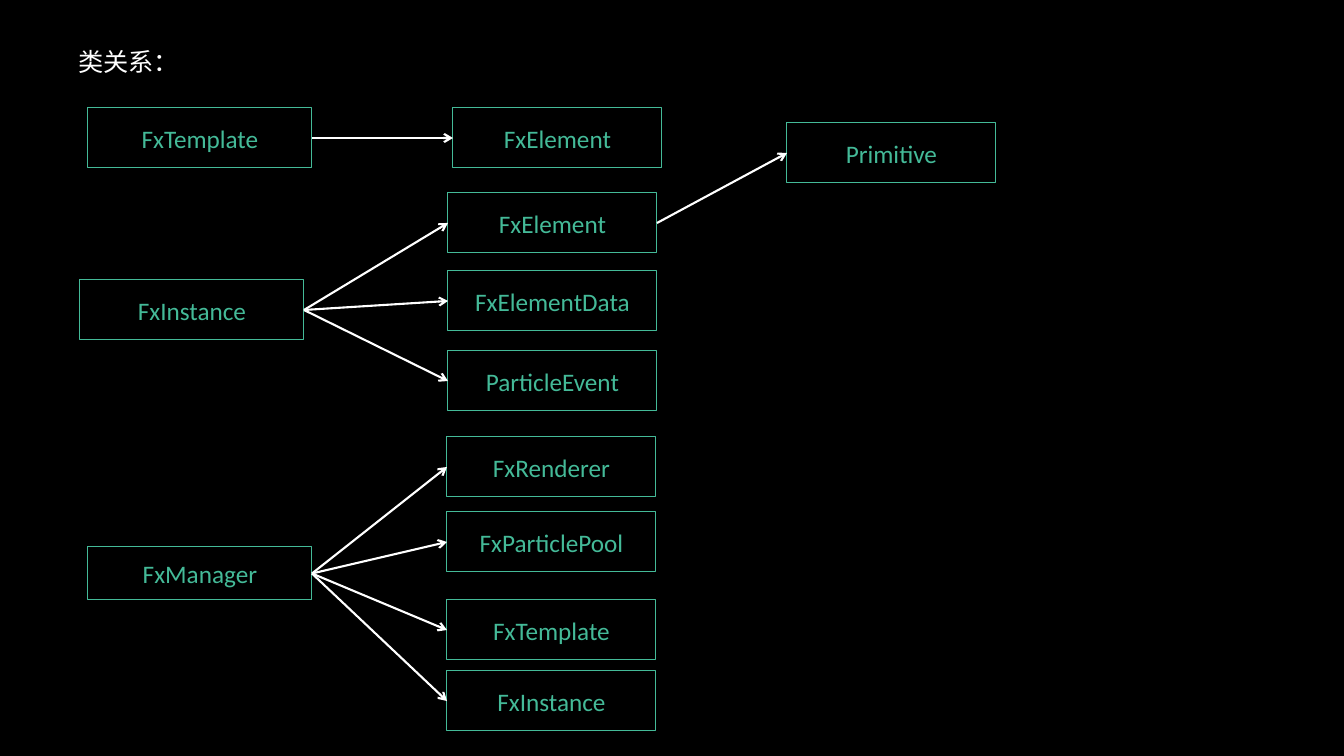
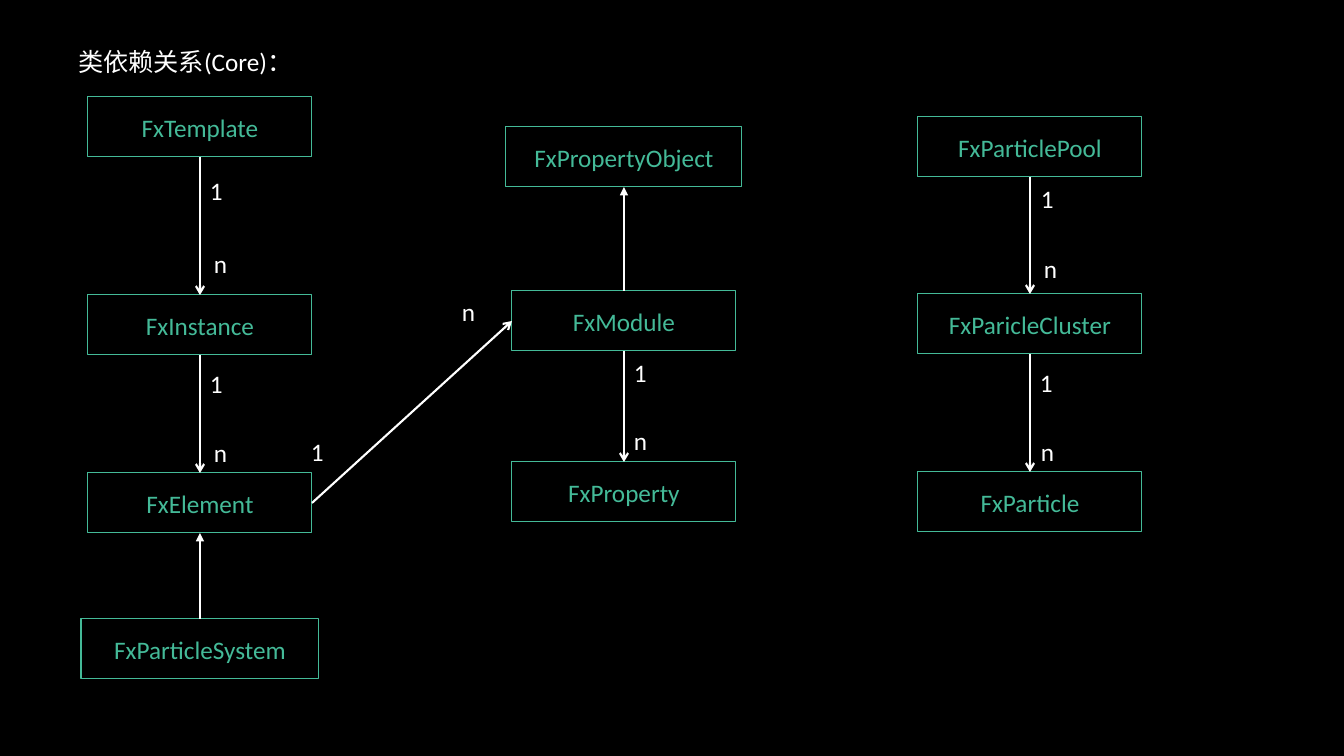
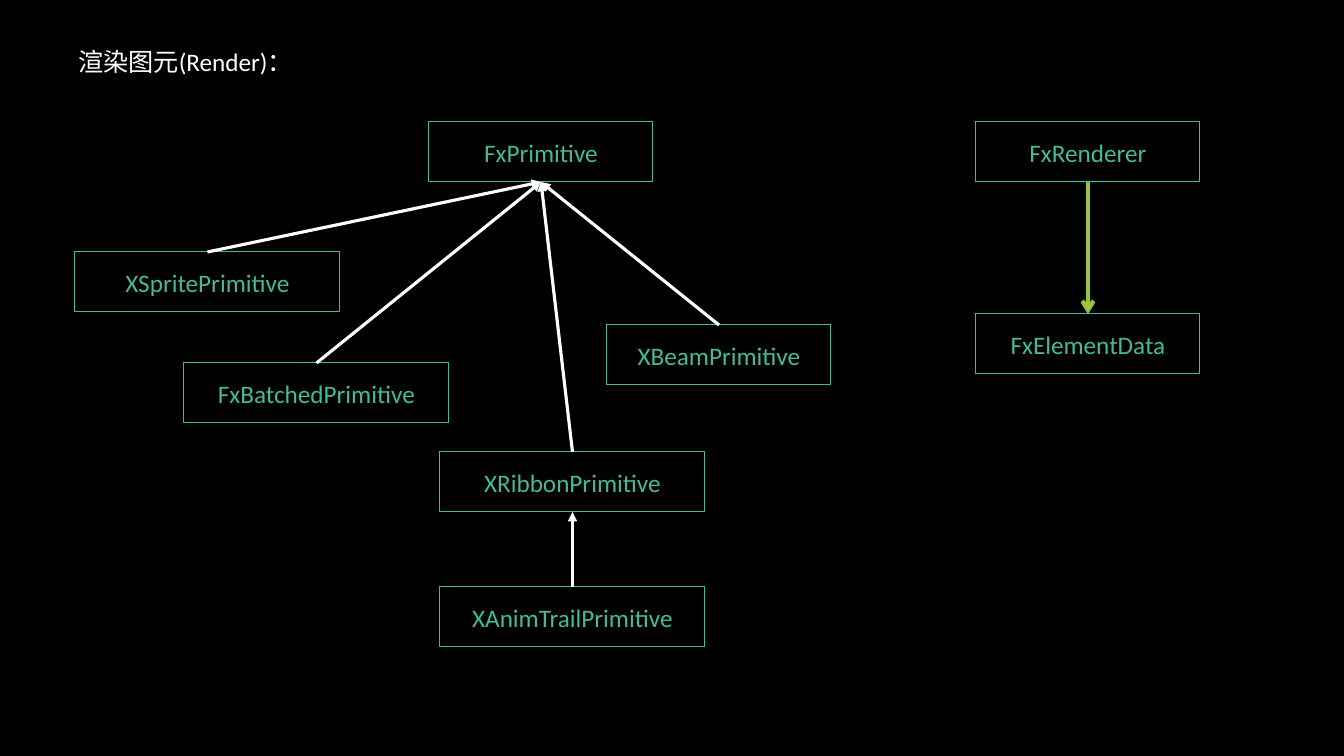
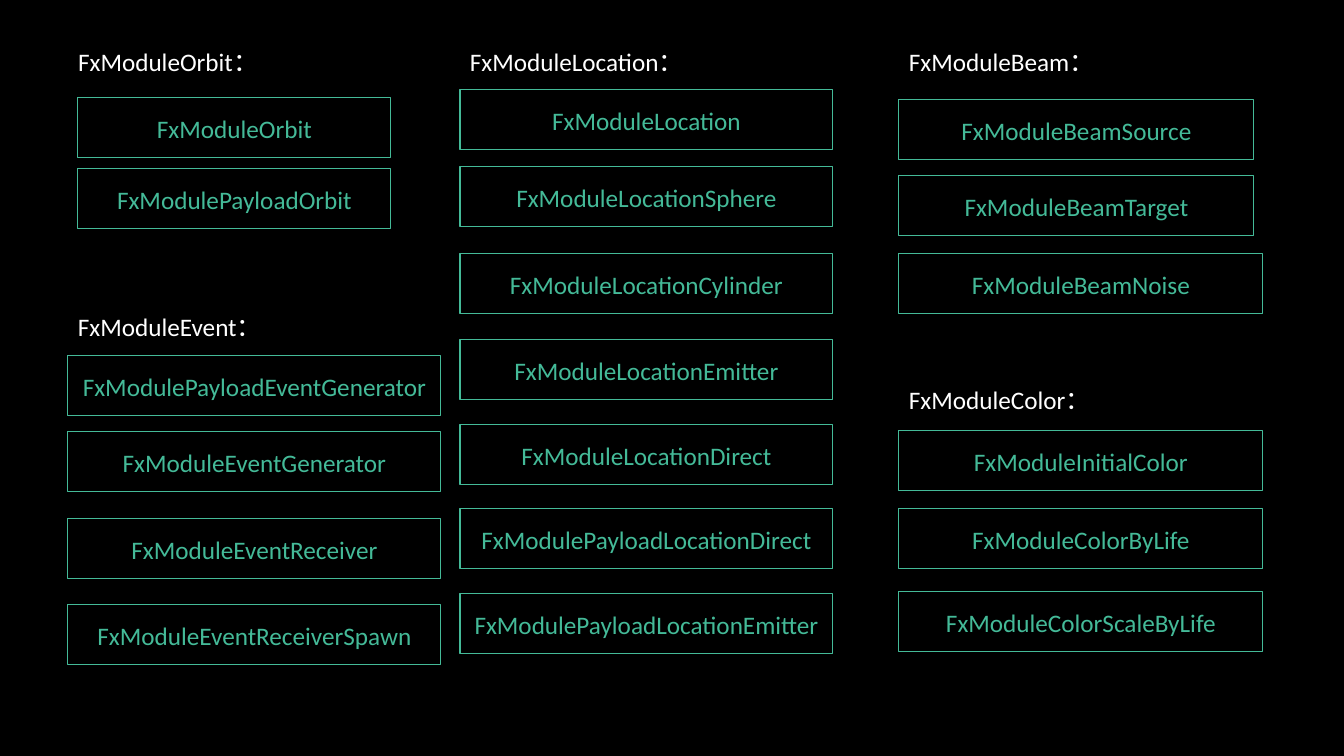
from lxml.etree import SubElement
from pptx import Presentation
from pptx.dml.color import RGBColor
from pptx.enum.shapes import MSO_CONNECTOR as Connector, MSO_SHAPE as Shape
from pptx.enum.text import MSO_ANCHOR as Anchor, MSO_AUTO_SIZE as AutoSize, PP_ALIGN as Align
from pptx.oxml.ns import qn
from pptx.util import Emu, Pt

COLORS = {"background": "000000", "text": "FFFFFF", "class": "44BA98", "use": "9AC43E"}
FONT = "Calibri"
FONT_SIZE = 18
SLIDE_W, SLIDE_H = 1344, 756
EMU_PER_PX = 12192000 / SLIDE_W
BOX_H, HEADING_W, LABEL_H = 60, 272, 40
TITLE_X, TITLE_Y = 68, 41
TITLE_ONLY = 5
TOP, LEFT, BOTTOM, RIGHT = range(4)  # connection sites of a rectangle


def px(*lengths):
    return [Emu(round(length * EMU_PER_PX)) for length in lengths]


def rgb(name):
    return RGBColor.from_string(COLORS[name])


class ClassDiagram:
    """Holds the deck, its style and the slide being drawn."""

    def __init__(self):
        self.deck = Presentation()
        self.deck.slide_width, self.deck.slide_height = px(SLIDE_W, SLIDE_H)
        background = self.deck.slide_master.background.fill
        background.solid()
        background.fore_color.rgb = rgb("background")
        self.slide = None

    def set_text(self, shape, text, color, align, anchor):
        frame = shape.text_frame
        frame.word_wrap = True
        frame.auto_size = AutoSize.NONE
        frame.vertical_anchor = anchor
        paragraph = frame.paragraphs[0]
        paragraph.alignment = align
        run = paragraph.add_run()
        run.text = text
        run.font.name = FONT
        run.font.size = Pt(FONT_SIZE)
        run.font.color.rgb = rgb(color)

    def new_slide(self, title):
        self.slide = self.deck.slides.add_slide(self.deck.slide_layouts[TITLE_ONLY])
        heading = self.slide.shapes.title
        heading.left, heading.top, heading.width, heading.height = px(
            TITLE_X, TITLE_Y, HEADING_W, LABEL_H)
        self.set_text(heading, title, "text", Align.LEFT, Anchor.TOP)

    def label(self, text, x, y, width=51):
        label = self.slide.shapes.add_textbox(*px(x, y, width, LABEL_H))
        self.set_text(label, text, "text", Align.LEFT, Anchor.TOP)

    def box(self, name, x, y, width=224, height=BOX_H):
        box = self.slide.shapes.add_shape(Shape.RECTANGLE, *px(x, y, width, height))
        box.shadow.inherit = False
        box.fill.background()
        box.line.color.rgb = rgb("class")
        box.line.width = Pt(0.75)
        self.set_text(box, name, "class", Align.CENTER, Anchor.MIDDLE)
        return box

    def column(self, x, width, rows):
        """Draws boxes under each other from (name, top) pairs."""
        return [self.box(name, x, top, width) for name, top in rows]

    def arrow(self, source, source_site, target, target_site,
              head="arrow", weight=1.5, color="text"):
        arrow = self.slide.shapes.add_connector(Connector.STRAIGHT, 0, 0, 0, 0)
        arrow.begin_connect(source, source_site)
        arrow.end_connect(target, target_site)
        arrow.line.color.rgb = rgb(color)
        arrow.line.width = Pt(weight)
        properties = arrow._element.spPr
        SubElement(properties.find(qn("a:ln")), qn("a:tailEnd"), type=head)
        SubElement(properties, qn("a:effectLst"))

    def fan_out(self, owner, members):
        for member in members:
            self.arrow(owner, RIGHT, member, LEFT)

    def chain(self, boxes):
        for upper, lower in zip(boxes, boxes[1:]):
            self.arrow(upper, BOTTOM, lower, TOP)

    def inherit(self, child, parent, weight=1.5):
        self.arrow(child, TOP, parent, BOTTOM, "triangle", weight)


def draw_relations(diagram):
    diagram.new_slide("类关系：")
    template = diagram.box("FxTemplate", 88, 108)
    instance = diagram.box("FxInstance", 80, 280)
    manager = diagram.box("FxManager", 88, 547, height=53)
    primitive = diagram.box("Primitive", 787, 123, 209)
    template_parts = diagram.column(453, 209, [("FxElement", 108)])
    instance_parts = diagram.column(448, 209, [
        ("FxElement", 193), ("FxElementData", 271), ("ParticleEvent", 351)])
    manager_parts = diagram.column(447, 209, [
        ("FxRenderer", 437), ("FxParticlePool", 512),
        ("FxTemplate", 600), ("FxInstance", 671)])
    diagram.fan_out(template, template_parts)
    diagram.fan_out(instance, instance_parts)
    diagram.fan_out(manager, manager_parts)
    diagram.fan_out(instance_parts[0], [primitive])


def draw_dependencies(diagram):
    diagram.new_slide("类依赖关系(Core)：")
    effects = diagram.column(88, 224, [
        ("FxTemplate", 97), ("FxInstance", 295), ("FxElement", 473)])
    modules = diagram.column(512, 224, [("FxModule", 291), ("FxProperty", 462)])
    particles = diagram.column(918, 224, [
        ("FxParticlePool", 117), ("FxParicleCluster", 294), ("FxParticle", 472)])
    for boxes in (effects, modules, particles):
        diagram.chain(boxes)
    element, module = effects[-1], modules[0]
    diagram.fan_out(element, [module])
    diagram.inherit(diagram.box("FxParticleSystem", 81, 619, 238), element)
    diagram.inherit(module, diagram.box("FxPropertyObject", 506, 127, 236))

    for one, many in [
        ((200, 170), (204, 243)),
        ((200, 363), (204, 432)),
        ((301, 431), (452, 291)),
        ((624, 352), (624, 420)),
        ((1031, 178), (1034, 248)),
        ((1030, 362), (1031, 431)),
    ]:
        diagram.label("1", *one)
        diagram.label("n", *many)


def draw_primitives(diagram):
    diagram.new_slide("渲染图元(Render)：")
    base = diagram.box("FxPrimitive", 429, 122)
    beam = diagram.box("XBeamPrimitive", 607, 325)
    sprite = diagram.box("XSpritePrimitive", 75, 252, 265)
    batched = diagram.box("FxBatchedPrimitive", 184, 363, 265)
    ribbon, trail = diagram.column(440, 265, [
        ("XRibbonPrimitive", 452), ("XAnimTrailPrimitive", 587)])
    for child in (beam, batched, ribbon, sprite):
        diagram.inherit(child, base, 2.25)
    diagram.inherit(trail, ribbon, 2.25)

    renderer, data = diagram.column(976, 224, [("FxRenderer", 122), ("FxElementData", 314)])
    diagram.arrow(renderer, BOTTOM, data, TOP, weight=3, color="use")


def draw_modules(diagram):
    diagram.new_slide("FxModuleOrbit：")
    for heading, x, y in [
        ("FxModuleEvent：", TITLE_X, 306),
        ("FxModuleLocation：", 460, TITLE_Y),
        ("FxModuleBeam：", 899, TITLE_Y),
        ("FxModuleColor：", 899, 379),
    ]:
        diagram.label(heading, x, y, HEADING_W)

    diagram.column(78, 313, [("FxModuleOrbit", 98), ("FxModulePayloadOrbit", 169)])
    diagram.column(68, 373, [
        ("FxModulePayloadEventGenerator", 356),
        ("FxModuleEventGenerator", 432),
        ("FxModuleEventReceiver", 519),
        ("FxModuleEventReceiverSpawn", 605),
    ])
    diagram.column(460, 373, [
        ("FxModuleLocation", 90),
        ("FxModuleLocationSphere", 167),
        ("FxModuleLocationCylinder", 254),
        ("FxModuleLocationEmitter", 340),
        ("FxModuleLocationDirect", 425),
        ("FxModulePayloadLocationDirect", 509),
        ("FxModulePayloadLocationEmitter", 594),
    ])
    diagram.column(899, 355, [("FxModuleBeamSource", 100), ("FxModuleBeamTarget", 176)])
    diagram.column(899, 364, [
        ("FxModuleBeamNoise", 254),
        ("FxModuleInitialColor", 431),
        ("FxModuleColorByLife", 509),
        ("FxModuleColorScaleByLife", 592),
    ])


def main():
    diagram = ClassDiagram()
    for draw in (draw_relations, draw_dependencies, draw_primitives, draw_modules):
        draw(diagram)
    diagram.deck.save("out.pptx")


if __name__ == "__main__":
    main()
